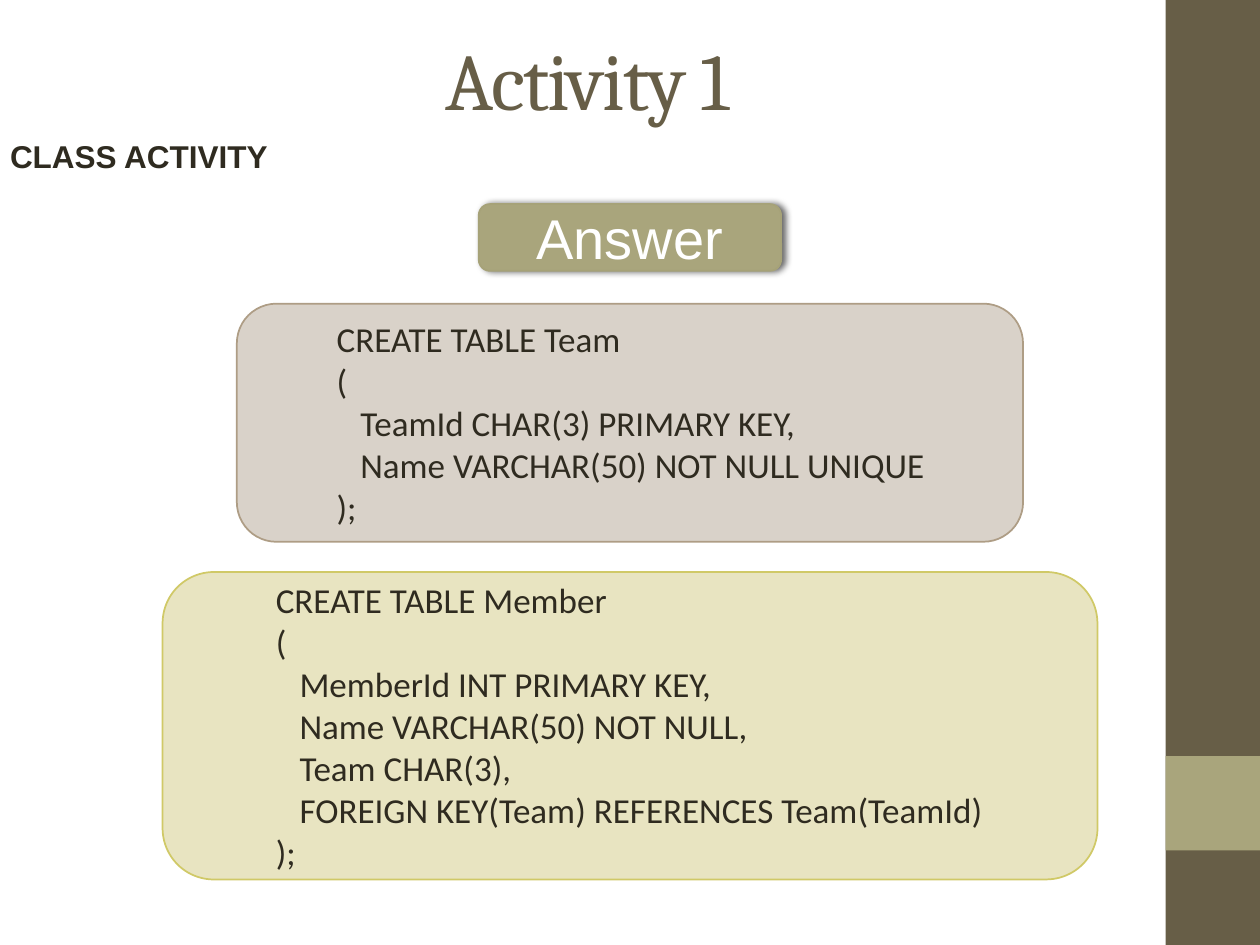
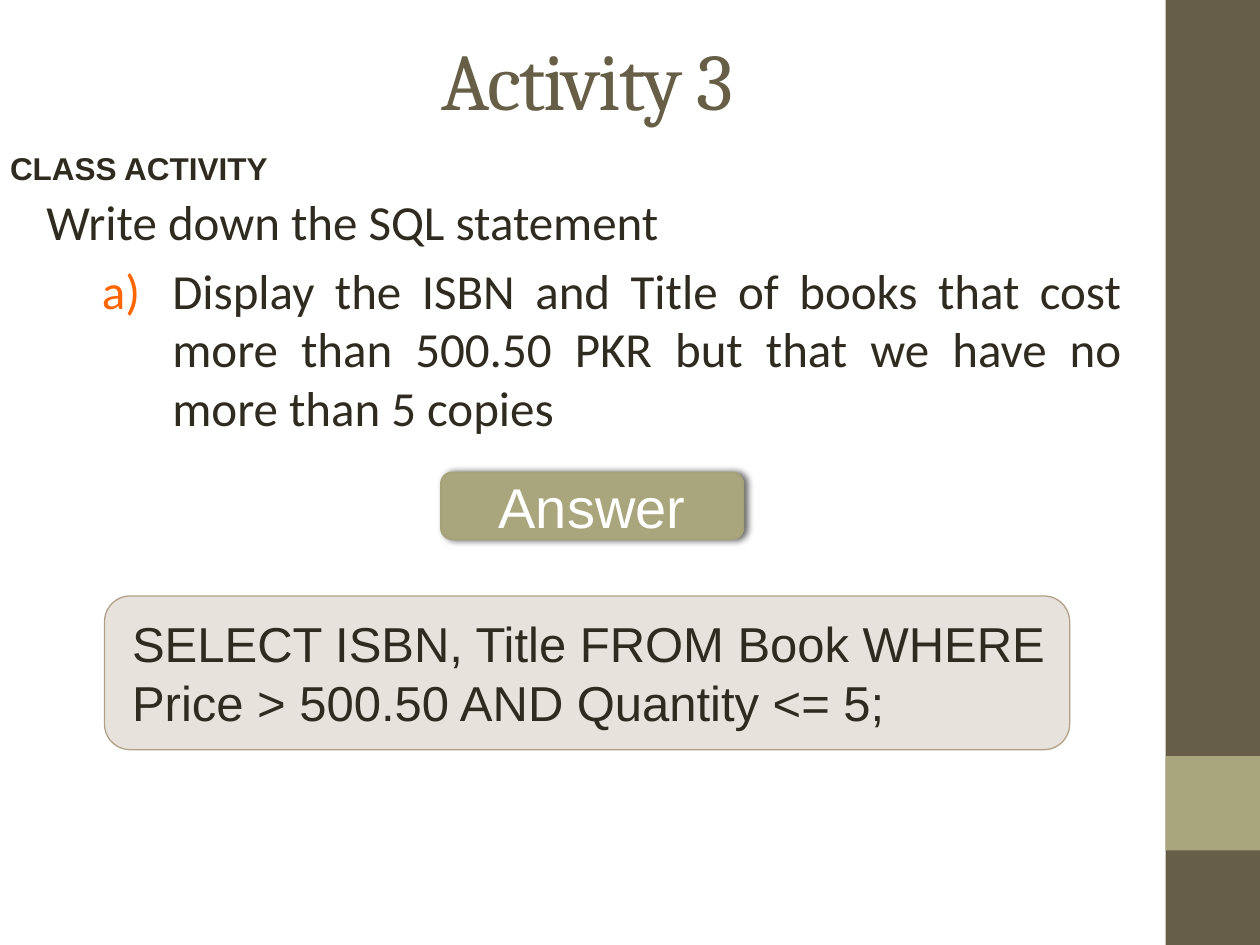
"""Build two SQL class activity slides with a shared side band, title and answer badge."""
from dataclasses import dataclass
from typing import Optional

from lxml.etree import SubElement
from pptx import Presentation
from pptx.dml.color import RGBColor
from pptx.enum.shapes import MSO_SHAPE as SHAPE
from pptx.enum.text import MSO_ANCHOR as ANCHOR, PP_ALIGN as ALIGN
from pptx.oxml.ns import qn
from pptx.util import Inches, Pt


@dataclass(frozen=True)
class Theme:
    olive: str = "675E47"
    sage: str = "A9A57C"
    sage_line: str = "A6A278"
    ink: str = "2F2B20"
    white: str = "FFFFFF"
    marker: str = "FF6600"
    shadow: str = "000000"
    team_fill: str = "D9D2C9"
    team_line: str = "AE9D85"
    member_fill: str = "E8E4C1"
    member_line: str = "D0C967"
    query: str = "B1A089"
    heading_font: str = "Cambria"
    body_font: str = "Calibri"
    label_font: str = "Arial"
    title_size: int = 46
    badge_size: int = 32
    body_size: int = 28
    code_size: int = 20
    label_size: int = 18


THEME = Theme()


@dataclass(frozen=True)
class Box:
    left: float
    top: float
    width: float
    height: float

    def emu(self) -> tuple:
        return tuple(Inches(v) for v in (self.left, self.top, self.width, self.height))


@dataclass(frozen=True)
class Card:
    box: Box
    code: str
    fill: str
    line: str
    inset: float
    font: str = THEME.body_font
    size: int = THEME.code_size
    line_width: float = 1
    alpha: Optional[int] = None


BANDS = ((Box(9.25, 0, 0.75, 7.5), THEME.olive), (Box(9.25, 6, 0.75, 0.75), THEME.sage))
TITLE_BOX = Box(0.5, 0, 8.33, 1.25)
QUESTION_BOX = Box(0.27, 1.47, 8.73, 2.1)

TEAM_CODE = """CREATE TABLE Team
(
   TeamId CHAR(3) PRIMARY KEY,
   Name VARCHAR(50) NOT NULL UNIQUE
);"""
MEMBER_CODE = """CREATE TABLE Member
(
   MemberId INT PRIMARY KEY,
   Name VARCHAR(50) NOT NULL,
   Team CHAR(3),
   FOREIGN KEY(Team) REFERENCES Team(TeamId)
);"""
SELECT_CODE = "SELECT ISBN, Title FROM Book WHERE Price > 500.50 AND Quantity <= 5;"

TABLE_CARDS = (
    Card(Box(1.88, 2.41, 6.24, 1.89), TEAM_CODE, THEME.team_fill, THEME.team_line, 0.7),
    Card(Box(1.29, 4.54, 7.42, 2.44), MEMBER_CODE, THEME.member_fill, THEME.member_line, 0.78),
)
QUERY_CARD = Card(Box(0.83, 4.73, 7.66, 1.22), SELECT_CODE, THEME.query, THEME.query, 0.16,
                  font=THEME.label_font, size=THEME.body_size, line_width=0.75, alpha=30)


def rgb(color: str) -> RGBColor:
    return RGBColor.from_string(color)


def write(tf, text: str, *, font: str, size: float, color: str = THEME.ink,
          bold: bool = False, align=ALIGN.LEFT, anchor=ANCHOR.TOP,
          tracking: float = 0, line_spacing=None) -> None:
    """Write each line of text as a paragraph in one format."""
    tf.word_wrap, tf.vertical_anchor = True, anchor
    for i, line in enumerate(text.split("\n")):
        p = tf.add_paragraph() if i else tf.paragraphs[0]
        p.alignment, p.line_spacing = align, line_spacing
        r = p.add_run()
        r.text = line
        r.font.name, r.font.size, r.font.bold = font, Pt(size), bold
        r.font.color.rgb = rgb(color)
        if tracking:
            r.font._element.set("spc", str(int(tracking * 100)))


def add_panel(s, kind, box: Box, fill: str, line: Optional[str] = None,
              line_width: float = 1, alpha: Optional[int] = None):
    """Add a filled shape without a shadow."""
    sp = s.shapes.add_shape(kind, *box.emu())
    sp.shadow.inherit = False
    sp.fill.solid()
    sp.fill.fore_color.rgb = rgb(fill)
    if alpha is not None:
        color = sp._element.spPr.find(f"{qn('a:solidFill')}/{qn('a:srgbClr')}")
        SubElement(color, qn("a:alpha"), val=str(alpha * 1000))
    if line:
        sp.line.color.rgb = rgb(line)
        sp.line.width = Pt(line_width)
    else:
        sp.line.fill.background()
    return sp


def add_shadow(sp, blur: float, distance: float, alpha: int) -> None:
    """Cast a soft shadow to the right."""
    effects = sp._element.spPr.find(qn("a:effectLst"))
    outer = SubElement(effects, qn("a:outerShdw"), blurRad=str(Pt(blur)),
                       dist=str(Pt(distance)), dir="0", algn="ctr", rotWithShape="0")
    color = SubElement(outer, qn("a:srgbClr"), val=THEME.shadow)
    SubElement(color, qn("a:alpha"), val=str(alpha * 1000))


def add_base(prs, title: str, label_top: float):
    """Add a slide with the side bands, title and activity label."""
    s = prs.slides.add_slide(prs.slide_layouts[6])
    for box, color in BANDS:
        add_panel(s, SHAPE.RECTANGLE, box, color)
    write(s.shapes.add_textbox(*TITLE_BOX.emu()).text_frame, title,
          font=THEME.heading_font, size=THEME.title_size, color=THEME.olive,
          align=ALIGN.CENTER, anchor=ANCHOR.MIDDLE, tracking=-1)
    tf = s.shapes.add_textbox(*Box(0, label_top, 8.94, 0.35).emu()).text_frame
    tf.margin_left = tf.margin_right = Inches(0.08)
    tf.margin_top = tf.margin_bottom = 0
    write(tf, "CLASS ACTIVITY", font=THEME.label_font, size=THEME.label_size,
          bold=True, line_spacing=Pt(18))
    return s


def add_answer_badge(s, left: float, top: float) -> None:
    sp = add_panel(s, SHAPE.ROUNDED_RECTANGLE, Box(left, top, 2.4, 0.53),
                   THEME.sage, THEME.sage_line)
    add_shadow(sp, blur=4, distance=2, alpha=60)
    write(sp.text_frame, "Answer", font=THEME.label_font, size=THEME.badge_size,
          color=THEME.white, align=ALIGN.CENTER, anchor=ANCHOR.MIDDLE)


def add_card(s, card: Card) -> None:
    sp = add_panel(s, SHAPE.ROUNDED_RECTANGLE, card.box, card.fill, card.line,
                   card.line_width, card.alpha)
    sp.text_frame.margin_left = Inches(card.inset)
    write(sp.text_frame, card.code, font=card.font, size=card.size, anchor=ANCHOR.MIDDLE)


def add_question(s, prompt: str, task: str) -> None:
    """Add a prompt followed by one lettered task."""
    tf = s.shapes.add_textbox(*QUESTION_BOX.emu()).text_frame
    write(tf, f"{prompt}\n{task}", font=THEME.body_font, size=THEME.body_size,
          align=ALIGN.JUSTIFY)
    p = tf.paragraphs[1]
    p.level = 1
    p.space_before = Pt(THEME.body_size * 0.2)
    props = p._p.get_or_add_pPr()
    props.set("marL", str(Inches(1)))
    props.set("indent", str(Inches(-0.56)))
    SubElement(SubElement(props, qn("a:buClr")), qn("a:srgbClr"), val=THEME.marker)
    SubElement(props, qn("a:buFont"), typeface=THEME.body_font)
    SubElement(props, qn("a:buAutoNum"), type="alphaLcParenR")


def build_create_tables(prs) -> None:
    s = add_base(prs, "Activity 1", label_top=1.14)
    for card in TABLE_CARDS:
        add_card(s, card)
    add_answer_badge(s, 3.8, 1.62)


def build_select_books(prs) -> None:
    s = add_base(prs, "Activity 3", label_top=1.23)
    add_question(s, "Write down the SQL statement",
                 "Display the ISBN and Title of books that cost more than 500.50 PKR "
                 "but that we have no more than 5 copies")
    add_card(s, QUERY_CARD)
    add_answer_badge(s, 3.5, 3.75)


def main() -> None:
    prs = Presentation()
    prs.slide_width, prs.slide_height = Inches(10), Inches(7.5)
    build_create_tables(prs)
    build_select_books(prs)
    prs.save("out.pptx")


if __name__ == "__main__":
    main()
